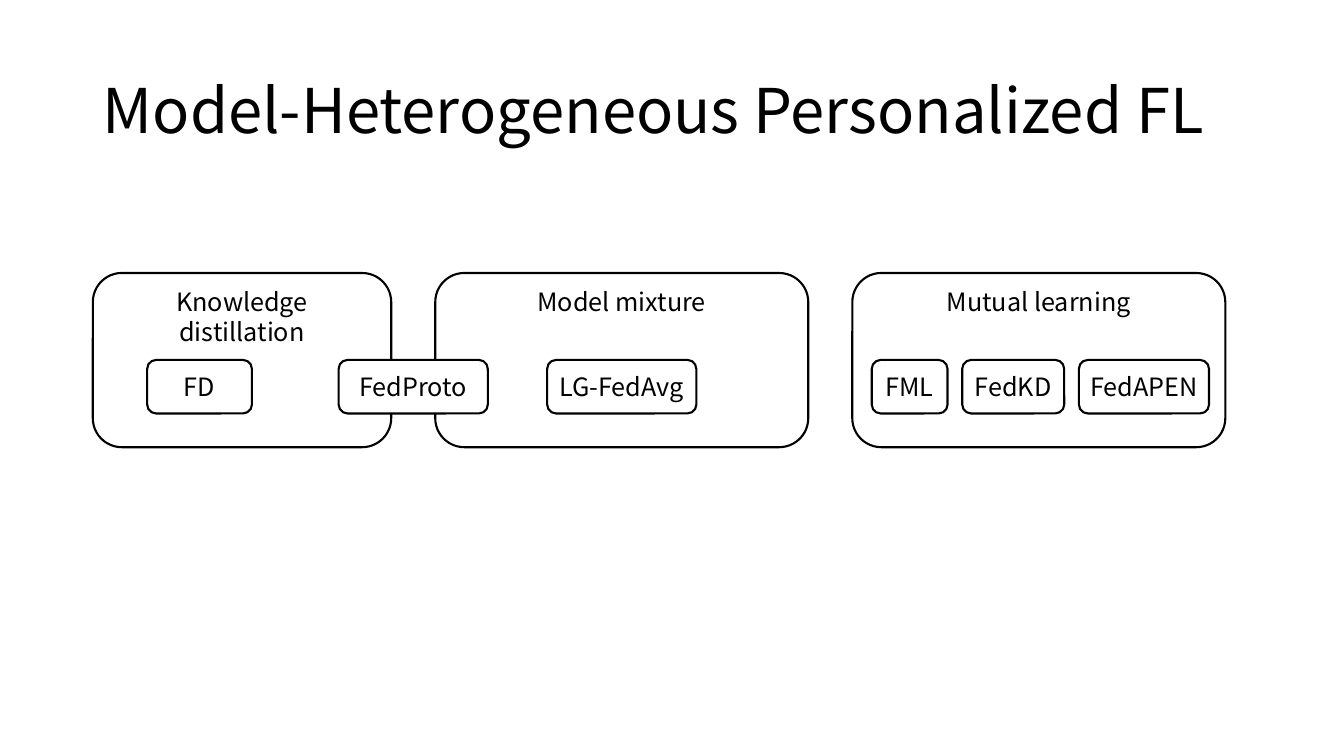
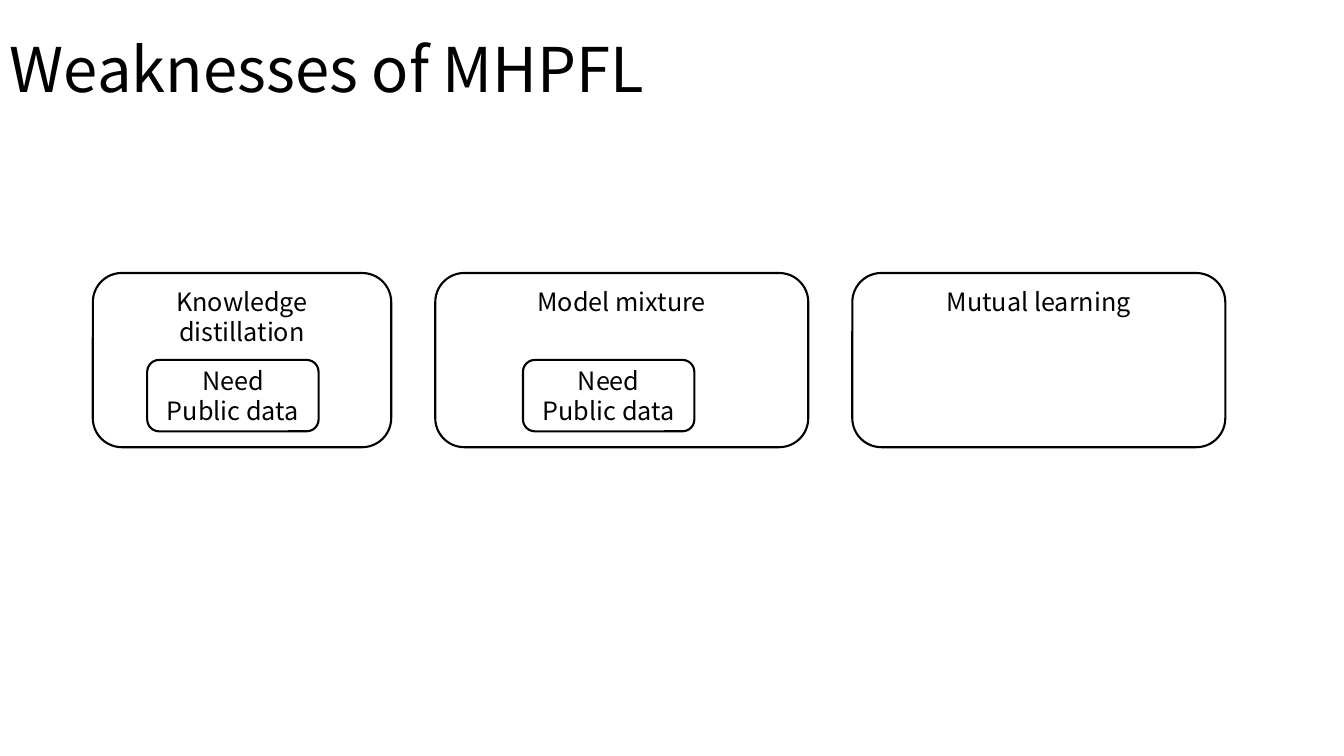
from pptx import Presentation
from pptx.dml.color import RGBColor
from pptx.enum.shapes import MSO_SHAPE as Shape
from pptx.enum.text import MSO_ANCHOR as Anchor, PP_ALIGN as Align
from pptx.util import Cm, Pt

PANELS = [("Knowledge distillation", 7.52), ("Model mixture", 9.4), ("Mutual learning", 9.4)]
PANEL_LEFT, PANEL_TOP, PANEL_HEIGHT, PANEL_GAP = 2.34, 6.88, 4.39, 1.11
TAG_TOP = 9.07
METHOD_HEIGHT, METHOD_WIDTH, METHOD_GAP = 1.35, 3.76, 0.37
WEAKNESS_HEIGHT, WEAKNESS_WIDTH = 1.8, 4.32
FIRST_TAG_OFFSET = 1.37


def color(value):
    return RGBColor.from_string(value)


class Deck:
    font = "Noto Sans CJK KR"
    ink = "000000"
    paper = "FFFFFF"
    title_size = 44
    body_size = 18
    line_width = 1.5

    def __init__(self):
        self.presentation = Presentation()
        self.presentation.slide_width = Cm(33.87)
        self.presentation.slide_height = Cm(19.05)
        self.slide = None

    def add_slide(self):
        self.slide = self.presentation.slides.add_slide(self.presentation.slide_layouts[6])

    def set_text(self, shape, text, size, align, anchor, wrap):
        frame = shape.text_frame
        frame.text = text
        frame.word_wrap = wrap
        frame.vertical_anchor = anchor
        for paragraph in frame.paragraphs:
            paragraph.alignment = align
            for run in paragraph.runs:
                run.font.name = self.font
                run.font.size = Pt(size)
                run.font.color.rgb = color(self.ink)

    def title(self, text, left, top):
        box = self.slide.shapes.add_textbox(Cm(left), Cm(top), Cm(29.21), Cm(3.68))
        self.set_text(box, text, self.title_size, Align.LEFT, Anchor.MIDDLE, True)
        box.text_frame.paragraphs[0].line_spacing = 0.9

    def rounded_box(self, text, left, top, width, height, anchor, wrap):
        shape = self.slide.shapes.add_shape(
            Shape.ROUNDED_RECTANGLE, Cm(left), Cm(top), Cm(width), Cm(height))
        shape.shadow.inherit = False
        shape.fill.solid()
        shape.fill.fore_color.rgb = color(self.paper)
        shape.line.color.rgb = color(self.ink)
        shape.line.width = Pt(self.line_width)
        self.set_text(shape, text, self.body_size, Align.CENTER, anchor, wrap)

    def panels(self):
        lefts = []
        left = PANEL_LEFT
        for name, width in PANELS:
            self.rounded_box(name, left, PANEL_TOP, width, PANEL_HEIGHT, Anchor.TOP, True)
            lefts.append(left)
            left += width + PANEL_GAP
        return lefts

    def tag(self, text, left, width, height):
        self.rounded_box(text, left, TAG_TOP, width, height, Anchor.MIDDLE, False)


def methods_slide(deck):
    deck.add_slide()
    deck.title("Model-Heterogeneous Personalized FL", PANEL_LEFT, 1.02)
    distillation, mixture, mutual = deck.panels()
    deck.tag("FD", distillation + FIRST_TAG_OFFSET, 2.64, METHOD_HEIGHT)
    bridge_left = mixture - (PANEL_GAP + METHOD_WIDTH) / 2
    deck.tag("FedProto", bridge_left, METHOD_WIDTH, METHOD_HEIGHT)
    deck.tag("LG-FedAvg", mixture + 2.82, METHOD_WIDTH, METHOD_HEIGHT)
    left = mutual + 0.49
    for name, width in [("FML", 1.91), ("FedKD", 2.57), ("FedAPEN", 3.28)]:
        deck.tag(name, left, width, METHOD_HEIGHT)
        left += width + METHOD_GAP


def weaknesses_slide(deck):
    deck.add_slide()
    deck.title("Weaknesses of MHPFL", 0, 0)
    distillation, mixture, _ = deck.panels()
    for left in (distillation + FIRST_TAG_OFFSET, mixture + 2.21):
        deck.tag("Need\nPublic data", left, WEAKNESS_WIDTH, WEAKNESS_HEIGHT)


def main():
    deck = Deck()
    methods_slide(deck)
    weaknesses_slide(deck)
    deck.presentation.save("out.pptx")


if __name__ == "__main__":
    main()
